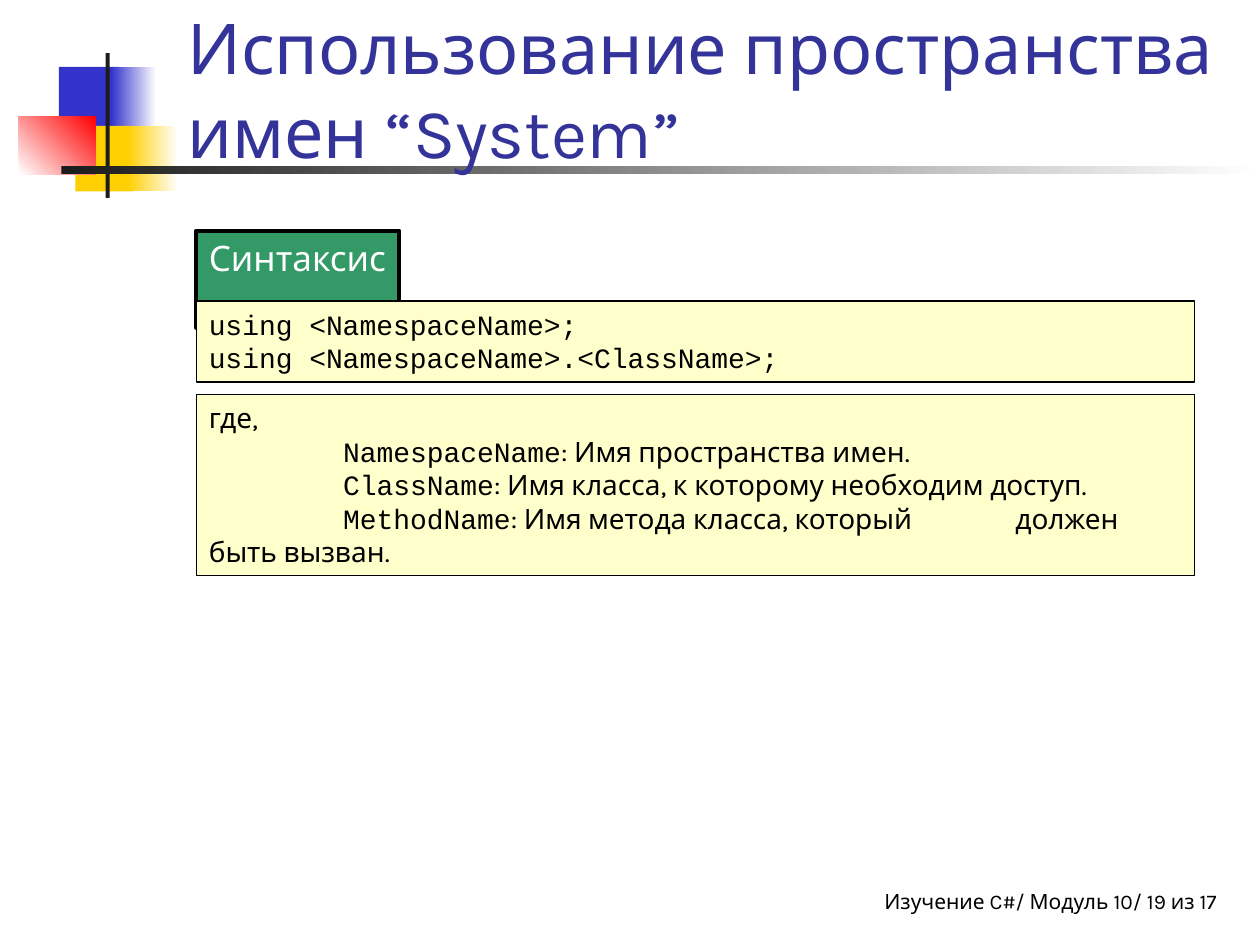
from lxml import etree
from pptx import Presentation
from pptx.dml.color import RGBColor
from pptx.enum.shapes import MSO_SHAPE
from pptx.enum.text import MSO_ANCHOR, PP_ALIGN
from pptx.oxml.ns import qn
from pptx.util import Cm, Pt

RECT = MSO_SHAPE.RECTANGLE
LEFT, RIGHT = PP_ALIGN.LEFT, PP_ALIGN.RIGHT
TOP, BOTTOM = MSO_ANCHOR.TOP, MSO_ANCHOR.BOTTOM

COLORS = {
    "blue": "3333CC", "yellow": "FFCF01", "red": "FF0000", "dark": "1C1C1C",
    "white": "FFFFFF", "black": "000000", "title": "333399",
    "green": "339966", "cream": "FFFFCC",
}
BODY, CODE = "Karla", "Courier New"
TAB_STEP = 2.71
BOX_LEFT, BOX_WIDTH = 3.96, 20.12

# left, top, width, height in cm; start colour, end colour, angle
DECORATION = [
    (1.19, 1.35, 1.22, 1.32, "blue", None, 0),
    (2.24, 1.35, 0.91, 1.32, "blue", "white", 0),
    (1.52, 2.54, 1.17, 1.32, "yellow", None, 0),
    (2.57, 2.54, 1.02, 1.32, "yellow", "white", 0),
    (0.38, 2.34, 1.55, 1.17, "white", "red", 45),
    (2.13, 1.07, 0.08, 2.92, "dark", None, 0),
    (1.24, 3.35, 24.16, 0.15, "dark", "white", 0),
]

SYNTAX = [
    [("using <NamespaceName>;", CODE)],
    [("using <NamespaceName>.<ClassName>;", CODE)],
]
TERMS = [
    ("NamespaceName", "Имя пространства имен."),
    ("ClassName", "Имя класса, к которому необходим доступ."),
    ("MethodName", "Имя метода класса, который \tдолжен быть вызван."),
]


def rgb(name):
    return RGBColor.from_string(COLORS[name])


def add_rect(slide, box, start, end=None, angle=0, line=None):
    """Rectangle with a plain fill, or a gradient when an end colour is given."""
    sp = slide.shapes.add_shape(RECT, *map(Cm, box))
    sp.shadow.inherit = False
    if end:
        sp.fill.gradient()
        sp.fill.gradient_angle = angle
        for stop, name in zip(sp.fill.gradient_stops, (start, end)):
            stop.color.rgb = rgb(name)
    else:
        sp.fill.solid()
        sp.fill.fore_color.rgb = rgb(start)
    if line:
        sp.line.color.rgb = rgb("black")
        sp.line.width = Pt(line)
    else:
        sp.line.fill.background()
    return sp


def add_tabs(p):
    tabs = etree.SubElement(p._p.get_or_add_pPr(), qn("a:tabLst"))
    for i in range(1, 8):
        etree.SubElement(tabs, qn("a:tab"), pos=str(Cm(TAB_STEP * i)), algn="l")


def write(sp, paragraphs, size, color="black", align=LEFT, tabs=False, **frame):
    """Fill a shape with paragraphs, each a list of (text, font) runs."""
    tf = sp.text_frame
    for name, value in {"word_wrap": True, "vertical_anchor": TOP, **frame}.items():
        setattr(tf, name, value)
    for i, runs in enumerate(paragraphs):
        p = tf.add_paragraph() if i else tf.paragraphs[0]
        p.alignment = align
        if tabs:
            add_tabs(p)
        for text, font in runs:
            r = p.add_run()
            r.text = text
            for name, value in {"name": font, "size": Pt(size)}.items():
                setattr(r.font, name, value)
            r.font.color.rgb = rgb(color)


def add_text(slide, box, text, size, color="black", **options):
    sp = slide.shapes.add_textbox(*map(Cm, box))
    write(sp, [[(text, BODY)]], size, color, **options)


def add_panel(slide, top, height, paragraphs):
    sp = add_rect(slide, (BOX_LEFT, top, BOX_WIDTH, height), "cream", line=0.75)
    write(sp, paragraphs, 16, tabs=True)


def main():
    prs = Presentation()
    prs.slide_width, prs.slide_height = Cm(25.4), Cm(19.05)
    slide = prs.slides.add_slide(prs.slide_layouts[6])

    add_text(slide, (11.63, 17.78, 12.9, 0.84), "Изучение C#/ Модуль 10/ 19 из 17",
             12, align=RIGHT, margin_right=0)
    for *box, start, end, angle in DECORATION:
        add_rect(slide, box, start, end, angle)
    add_text(slide, (3.53, 0.43, 21.64, 3.18),
             "Использование пространства имен “System”", 40, "title",
             vertical_anchor=BOTTOM)

    label = add_rect(slide, (BOX_LEFT, 4.65, 4.09, 1.96), "green", line=2.25)
    write(label, [[("Синтаксис", BODY)]], 20, "white", word_wrap=False)

    add_panel(slide, 6.07, 1.63, SYNTAX)
    terms = [[(f"\t{term}", CODE), (f": {text}", BODY)] for term, text in TERMS]
    add_panel(slide, 7.95, 3.66, [[("где,", BODY)], *terms])

    prs.save("out.pptx")


if __name__ == "__main__":
    main()
